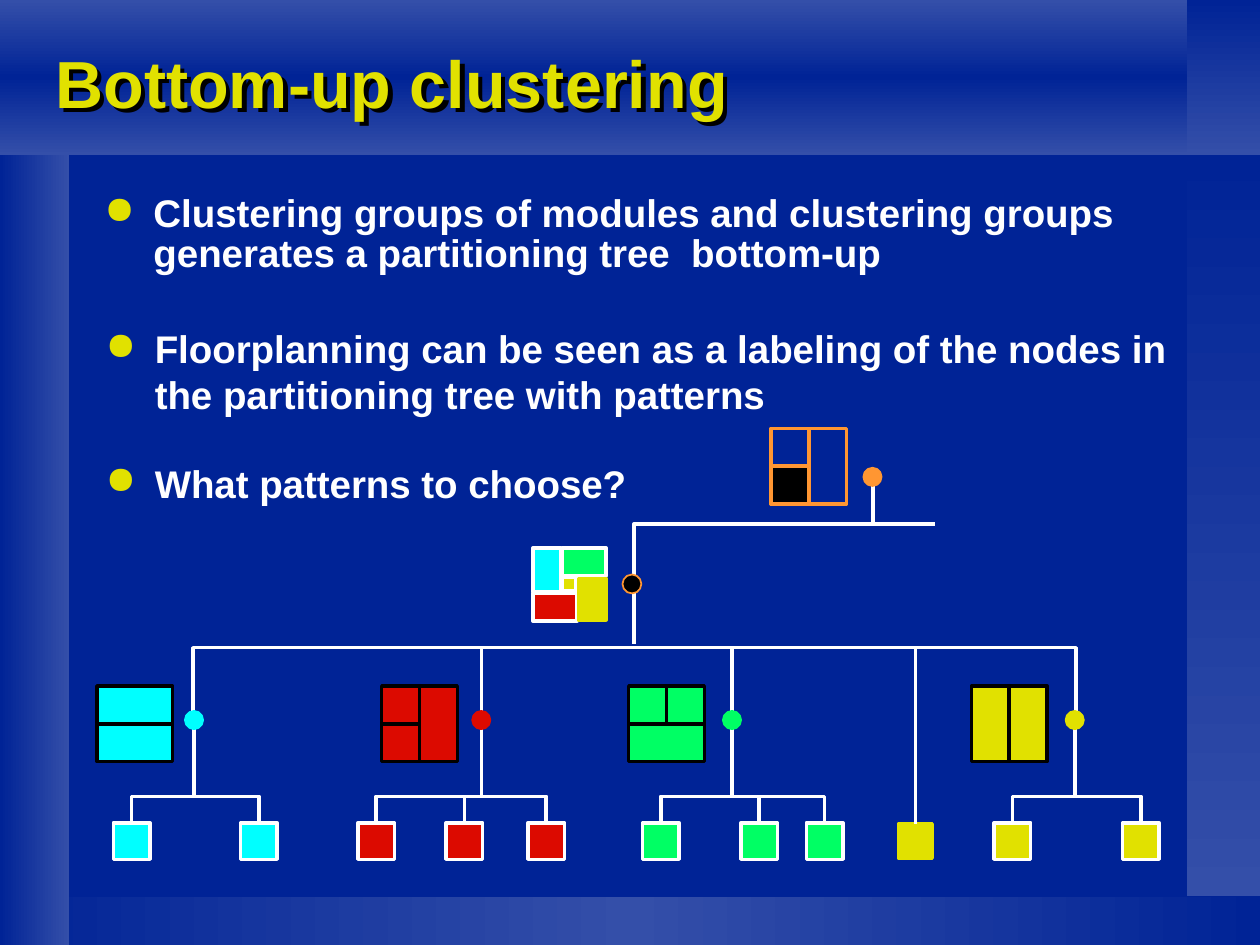
from copy import deepcopy

from lxml import etree
from pptx import Presentation
from pptx import util as u
from pptx.dml import color as dml
from pptx.enum import shapes, text
from pptx.oxml import ns

NAVY, HAZE, YELLOW, WHITE, BLACK = "002396", "344FA9", "E1E100", "FFFFFF", "000000"
CYAN, RED, GREEN, ORANGE = "00FFFF", "DC0A00", "00FF64", "FF9632"
RECT, OVAL = shapes.MSO_SHAPE.RECTANGLE, shapes.MSO_SHAPE.OVAL
PATTERN, LEAF, NODE = 6, 2.9, 1.3
SIDES = {(0.5, 0): 0, (0, 0.5): 1, (0.5, 1): 2, (1, 0.5): 3}


def grid(*cells):
    """Turn cells of a 100 by 75 grid into lengths on the slide."""
    return [u.Inches(cell / 10) for cell in cells]


def rgb(value):
    """Return the colour for a hex string."""
    return dml.RGBColor.from_string(value)


def assign(target, formats):
    """Set every attribute named in a dict of format values."""
    for name, value in formats.items():
        setattr(target, name, value)


def add_xml(parent, tag, **attributes):
    """Append a drawing element with its attributes."""
    return etree.SubElement(parent, ns.qn(tag), attributes)


def stroke(part, color, points=2):
    """Give a part a solid line."""
    part.line.color.rgb = rgb(color)
    part.line.width = u.Pt(points)


def block(slide, box, fill, edge=WHITE, kind=RECT, points=2):
    """Draw a rectangle or ellipse, hollow when fill is None."""
    part = slide.shapes.add_shape(kind, *grid(*box))
    part.shadow.inherit = False
    if fill:
        part.fill.solid()
        part.fill.fore_color.rgb = rgb(fill)
    else:
        part.fill.background()
    stroke(part, edge, points)
    return part


def link(slide, start, end, color=WHITE):
    """Draw a straight line between two grid points."""
    line = slide.shapes.add_connector(
        shapes.MSO_CONNECTOR.STRAIGHT, *grid(*start, *end))
    stroke(line, color)
    add_xml(line._element.spPr, "a:effectLst")
    return line


def bracket(slide, points):
    """Draw an open, unfilled polyline through grid points."""
    corners = [grid(*point) for point in points]
    builder = slide.shapes.build_freeform(*corners[0])
    builder.add_line_segments(corners[1:], close=False)
    outline = builder.convert_to_shape()
    outline.shadow.inherit = False
    outline.fill.background()
    stroke(outline, WHITE)


def band(slide, box, colors, angle):
    """Draw a borderless gradient band with evenly spaced stops."""
    part = slide.shapes.add_shape(RECT, *grid(*box))
    part.shadow.inherit = False
    part.line.fill.background()
    part.fill.gradient()
    part.fill.gradient_angle = angle
    stops = part._element.spPr.find(".//" + ns.qn("a:gsLst"))
    for _ in colors[2:]:
        stops.append(deepcopy(stops[0]))
    for index, (stop, color) in enumerate(zip(part.fill.gradient_stops, colors)):
        stop.color.rgb = rgb(color)
        stop.position = index / (len(colors) - 1)


def backdrop(slide):
    """Fill the background and lay the gradient bands along the edges."""
    slide.background.fill.solid()
    slide.background.fill.fore_color.rgb = rgb(NAVY)
    for box, colors, angle in (
            ((0, 71.2, 100, 3.8), (NAVY, HAZE, NAVY), 0),
            ((0, 0, 5.5, 75), (NAVY, HAZE), 0),
            ((0, 0, 100, 12.3), (HAZE, NAVY, HAZE), 270),
            ((94.2, 12.1, 5.8, 59), (NAVY, HAZE), 270),
            ((94.2, 0, 5.8, 12.3), (NAVY, HAZE), 270)):
        band(slide, box, colors, angle)


def words(slide, box, wording, size, color, frame_formats, spacing):
    """Place one bold paragraph in a wrapping text box."""
    holder = slide.shapes.add_textbox(*grid(*box))
    assign(holder.text_frame, {"word_wrap": True, **frame_formats})
    paragraph = holder.text_frame.paragraphs[0]
    if spacing:
        paragraph.line_spacing = spacing
    run = paragraph.add_run()
    run.text = wording
    assign(run.font, {"name": "Arial", "size": u.Pt(size), "bold": True})
    run.font.color.rgb = rgb(color)
    return holder


def title(slide, box, wording):
    """Place the heading with its hard black shadow."""
    margins = dict.fromkeys(
        ("margin_left", "margin_top", "margin_right", "margin_bottom"), 0)
    formats = {"vertical_anchor": text.MSO_ANCHOR.MIDDLE, **margins}
    heading = words(slide, box, wording, 38, YELLOW, formats, 0.87)
    effects = add_xml(heading._element.spPr, "a:effectLst")
    shadow = add_xml(effects, "a:outerShdw", dist=str(u.Inches(0.05)), dir="2700000")
    add_xml(shadow, "a:srgbClr", val=BLACK)


def bullet(slide, box, wording, spacing=None):
    """Place one bulleted statement."""
    holder = words(slide, box, wording, 22, WHITE, {}, spacing)
    properties = holder.text_frame.paragraphs[0]._p.get_or_add_pPr()
    indent = u.Inches(0.39)
    properties.set("marL", str(indent))
    properties.set("indent", str(-indent))
    add_xml(add_xml(properties, "a:buClr"), "a:srgbClr", val=YELLOW)
    add_xml(properties, "a:buChar", char="●")


def pattern(slide, left, top, fill, edge, dividers):
    """Draw a floorplan pattern whose dividers are shares of its square."""
    square = block(slide, (left, top, PATTERN, PATTERN), fill, edge)
    for start, end in dividers:
        ends = [(left + x * PATTERN, top + y * PATTERN) for x, y in (start, end)]
        line = link(slide, *ends, edge)
        if start in SIDES:
            line.begin_connect(square, SIDES[start])
        if end in SIDES:
            line.end_connect(square, SIDES[end])


def cluster(slide, left, top, color, node, leaves, dividers):
    """Draw a pattern, its tree node and the leaves hanging below it."""
    node_x, bus, leaf_top = left + node, top + 8.75, top + 10.85
    centres = [left + leaf for leaf in leaves]
    bracket(slide, [(centres[0], leaf_top), (centres[0], bus),
                    (centres[-1], bus), (centres[-1], leaf_top)])
    for centre in centres:
        square = block(slide, (centre - LEAF / 2, leaf_top, LEAF, LEAF), color)
        if centre not in (centres[0], centres[-1]):
            link(slide, (centre, bus), (centre, leaf_top)).end_connect(square, 0)
    link(slide, (node_x, top + 3.3), (node_x, bus))
    pattern(slide, left, top, color, BLACK, dividers)
    block(slide, (node_x - NODE / 2, top + 2.05, NODE, NODE), color, color, OVAL)


def mosaic(slide, left, top):
    """Draw the combined floorplan of the middle node."""
    for x, y, width, height, color, edge in (
            (0, 0, 2.2, 3.5, CYAN, WHITE), (0, 3.6, 3.5, 2.2, RED, WHITE),
            (2.3, 0, 3.5, 2.2, GREEN, WHITE), (3.6, 2.4, 2.2, 3.3, YELLOW, YELLOW),
            (2.3, 2.3, 1.1, 1.1, YELLOW, WHITE)):
        block(slide, (left + x, top + y, width, height), color, edge)


def upper_tree(slide, left, top):
    """Draw the root, the middle node and the branches to the clusters."""
    def at(x, y):
        return left + x, top + y

    for x, start, end in ((22.9, 17.5, 22.7), (42.8, 17.5, 22.7),
                          (35, 13, 17.1), (54, 7.5, 4.4)):
        link(slide, at(x, start), at(x, end))
    bracket(slide, [at(0, 23.2), at(0, 17.4), at(70.1, 17.4), at(70.1, 23.6)])
    bracket(slide, [at(35, 12.4), at(35, 7.6), at(58.9, 7.6)])
    lone = block(slide, (*at(56, 31.4), 2.7, 2.7), YELLOW, YELLOW)
    link(slide, at(57.35, 17.5), at(57.35, 31.4)).end_connect(lone, 0)
    block(slide, (*at(53.3, 3.2), NODE, NODE), ORANGE, ORANGE, OVAL)
    block(slide, (*at(34.1, 11.6), 1.5, 1.5), BLACK, ORANGE, OVAL, 1)
    pattern(slide, *at(45.9, 0), None, ORANGE,
            [((0, 0.5), (0.5, 0.5)), ((0.5, 0), (0.5, 1))])
    block(slide, (*at(45.9, 3), 3, 3), BLACK, ORANGE)
    mosaic(slide, *at(27, 9.5))


def main():
    """Build the slide and save it."""
    deck = Presentation()
    assign(deck, {"slide_width": u.Inches(10), "slide_height": u.Inches(7.5)})
    slide = deck.slides.add_slide(deck.slide_layouts[6])
    backdrop(slide)
    title(slide, (4.4, 2.7, 95.3, 8.5), "Bottom-up clustering")
    bullet(slide, (7.3, 15, 87.3, 8.1), "Clustering groups of modules and clustering "
           "groups generates a partitioning tree  bottom-up", 0.87)
    bullet(slide, (7.4, 25.3, 90, 8.7), "Floorplanning can be seen as a labeling of "
           "the nodes in the partitioning tree with patterns")
    bullet(slide, (7.4, 36, 92, 5.6), "What patterns to choose?")
    upper_tree(slide, 15.3, 34)
    across, down = ((0, 0.5), (1, 0.5)), ((0.5, 0), (0.5, 1))
    for left, color, node, leaves, dividers in (
            (7.7, CYAN, 7.7, (2.75, 12.85), [across]),
            (30.3, RED, 7.9, (-0.45, 6.55, 13.05), [((0, 0.5), (0.5, 0.5)), down]),
            (49.9, GREEN, 8.2, (2.55, 10.35, 15.55), [((0.5, 0), (0.5, 0.5)), across]),
            (77.1, YELLOW, 8.2, (3.25, 13.45), [down])):
        cluster(slide, left, 54.45, color, node, leaves, dividers)
    deck.save("out.pptx")


if __name__ == "__main__":
    main()
